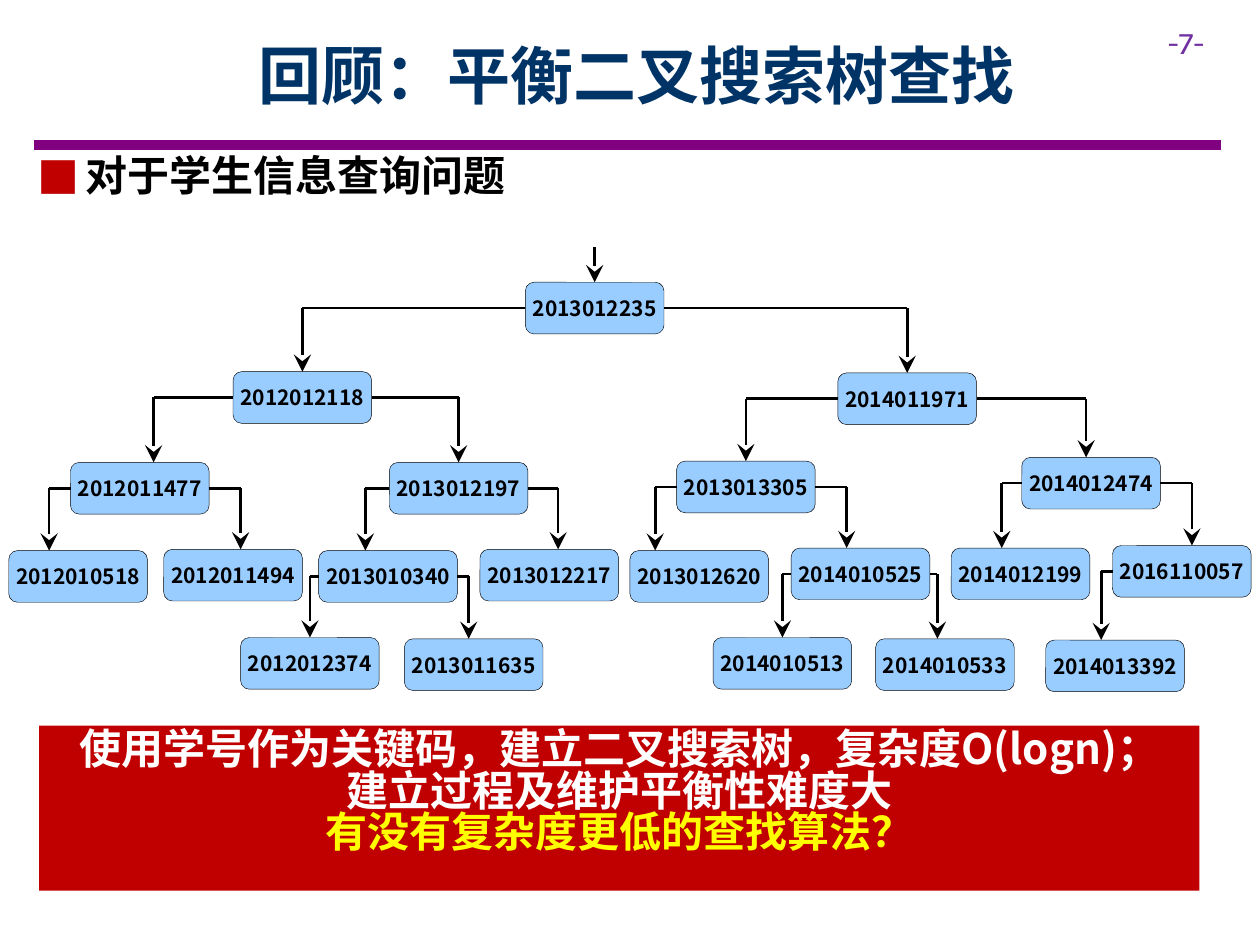
"""Builds a slide that reviews lookup in a balanced binary search tree."""
from lxml.etree import SubElement as Sub
from pptx import Presentation
from pptx.dml.color import RGBColor as Rgb
from pptx.enum.shapes import MSO_CONNECTOR as Conn, MSO_SHAPE as Kind
from pptx.enum.text import MSO_ANCHOR as Anchor, MSO_AUTO_SIZE as Fit, PP_ALIGN as Align
from pptx.oxml.ns import qn
from pptx.util import Inches, Pt

THEME = {
    "cjk": "Noto Sans CJK SC", "latin": "Karla",
    "ink": "000000", "title": "003366", "rule": "800080", "page": "7030A0",
    "red": "C00000", "node": "99CCFF", "white": "FFFFFF", "ask": "FFFF00",
    "big": 36, "mid": 24, "small": 18, "tiny": 12,
}

deck = Presentation()
deck.slide_width, deck.slide_height = Inches(10), Inches(7.5)
slide = deck.slides.add_slide(deck.slide_layouts[1])
shapes = slide.shapes
COL, ROW = deck.slide_width / 100, deck.slide_height / 75


def write(shape, *lines, size, color="ink", font="cjk", bold=True, align=Align.CENTER,
          anchor=Anchor.TOP, pad=(0.1, 0.05), space=None):
    frame = shape.text_frame
    frame.auto_size, frame.word_wrap = Fit.NONE, True
    frame.vertical_anchor = anchor
    frame.margin_left = frame.margin_right = Inches(pad[0])
    frame.margin_top = frame.margin_bottom = Inches(pad[1])
    frame.text = "\n".join(lines)
    for para in frame.paragraphs:
        para.alignment, para.line_spacing, para.space_before = align, space, Pt(0)
        face = para.runs[0].font
        face.name, face.size, face.bold = THEME[font], Pt(THEME[size]), bold
        face.color.rgb = Rgb.from_string(THEME[color])
        Sub(face._element, qn("a:ea"), typeface=THEME[font])
    return frame


def draw(x1, y1, x2, y2, color="ink", width=1.5, head=False):
    line = shapes.add_connector(
        Conn.STRAIGHT, int(x1 * COL), int(y1 * ROW), int(x2 * COL), int(y2 * ROW))
    line.line.color.rgb = Rgb.from_string(THEME[color])
    line.line.width = Pt(width)
    if head:
        Sub(line.line._get_or_add_ln(), qn("a:tailEnd"), type="stealth", w="lg", len="lg")
    Sub(line._element.spPr, qn("a:effectLst"))
    return line


draw(2.7, 11.5, 96.9, 11.5, color="rule", width=6)

title, body = shapes.title, slide.placeholders[1]
page = shapes.add_textbox(0, 0, 0, 0)
band = shapes.add_shape(Kind.RECTANGLE, 0, 0, 0, 0)
for shape, (left, top, wide, high) in (
        (title, (9, 0.9, 83.1, 10)), (body, (2, 12.1, 52, 5)),
        (page, (91.7, 1.3, 8.3, 4)), (band, (3.1, 57.6, 92.1, 13.1))):
    shape.left, shape.top = int(left * COL), int(top * ROW)
    shape.width, shape.height = int(wide * COL), int(high * ROW)

write(page, "-7-", size="small", color="page", font="latin", bold=False, align=Align.LEFT)
write(title, "回顾：平衡二叉搜索树查找", size="big", color="title", anchor=Anchor.MIDDLE)

item = write(body, "对于学生信息查询问题", size="mid", align=Align.LEFT, space=0.82).paragraphs[0]
item.space_after = Pt(6)
props = item._p.get_or_add_pPr()
props.set("marL", str(Inches(0.38)))
props.set("indent", str(-Inches(0.38)))
Sub(Sub(props, qn("a:buClr")), qn("a:srgbClr"), val=THEME["red"])
Sub(props, qn("a:buFont"), typeface=THEME["cjk"])
Sub(props, qn("a:buChar"), char="■")

band.shadow.inherit = False
band.fill.solid()
band.fill.fore_color.rgb = Rgb.from_string(THEME["red"])
band.line.fill.background()
note = write(band, "使用学号作为关键码，建立二叉搜索树，复杂度O(logn)；", "建立过程及维护平衡性难度大",
             "有没有复杂度更低的查找算法？", size="mid", color="white", space=0.82)
note.paragraphs[-1].runs[0].font.color.rgb = Rgb.from_string(THEME["ask"])

WIDE, HIGH = 11, 4.1
LEFT, RIGHT = 1, 3
TREE = (
    ("2013012235", 41.7, 22.4, None, None, 47.3),
    ("2012012118", 18.5, 29.5, "2013012235", LEFT, 24.1),
    ("2014011971", 66.5, 29.6, "2013012235", RIGHT, 72),
    ("2012011477", 5.6, 36.7, "2012012118", LEFT, 12.2),
    ("2013012197", 30.9, 36.7, "2012012118", RIGHT, 36.6),
    ("2013013305", 53.7, 36.6, "2014011971", LEFT, 59.1),
    ("2014012474", 81.1, 36.3, "2014011971", RIGHT, 86.2),
    ("2012010518", 0.7, 43.7, "2012011477", LEFT, 3.9),
    ("2012011494", 13, 43.6, "2012011477", RIGHT, 19.1),
    ("2013010340", 25.3, 43.7, "2013012197", LEFT, 29),
    ("2013012217", 38.1, 43.6, "2013012197", RIGHT, 44.3),
    ("2013012620", 50, 43.7, "2013013305", LEFT, 52),
    ("2014010525", 62.8, 43.5, "2013013305", RIGHT, 67.2),
    ("2014012199", 75.5, 43.5, "2014012474", LEFT, 79.5),
    ("2016110057", 88.3, 43.3, "2014012474", RIGHT, 94.6),
    ("2012012374", 19.1, 50.6, "2013010340", LEFT, 24.5),
    ("2013011635", 32.1, 50.7, "2013010340", RIGHT, 37.2),
    ("2014010513", 56.6, 50.6, "2014010525", LEFT, 62),
    ("2014010533", 69.5, 50.7, "2014010525", RIGHT, 74.4),
    ("2014013392", 83, 50.8, "2016110057", LEFT, 87.4),
)
nodes = {}
for key, left, top, up, side, drop in TREE:
    node = shapes.add_shape(Kind.ROUNDED_RECTANGLE, int(left * COL), int(top * ROW),
                            int(WIDE * COL), int(HIGH * ROW))
    node.shadow.inherit = False
    node.fill.solid()
    node.fill.fore_color.rgb = Rgb.from_string(THEME["node"])
    node.line.color.rgb = Rgb.from_string(THEME["ink"])
    node.line.width = Pt(0.25)
    write(node, key, size="tiny", anchor=Anchor.MIDDLE, pad=(0, 0.1))
    nodes[key] = node, left, top

    mid = left + WIDE / 2
    near = abs(drop - mid) <= 0.25
    drop = mid if near else drop
    start = top - 2.8
    if up:
        base, edge, start = nodes[up]
        start += HIGH / 2
        edge += WIDE if side == RIGHT else 0
        draw(edge, start, drop, start).begin_connect(base, side)
    arrow = draw(drop, start, drop, top, head=True)
    if near:
        arrow.end_connect(node, 0)

deck.save("out.pptx")
